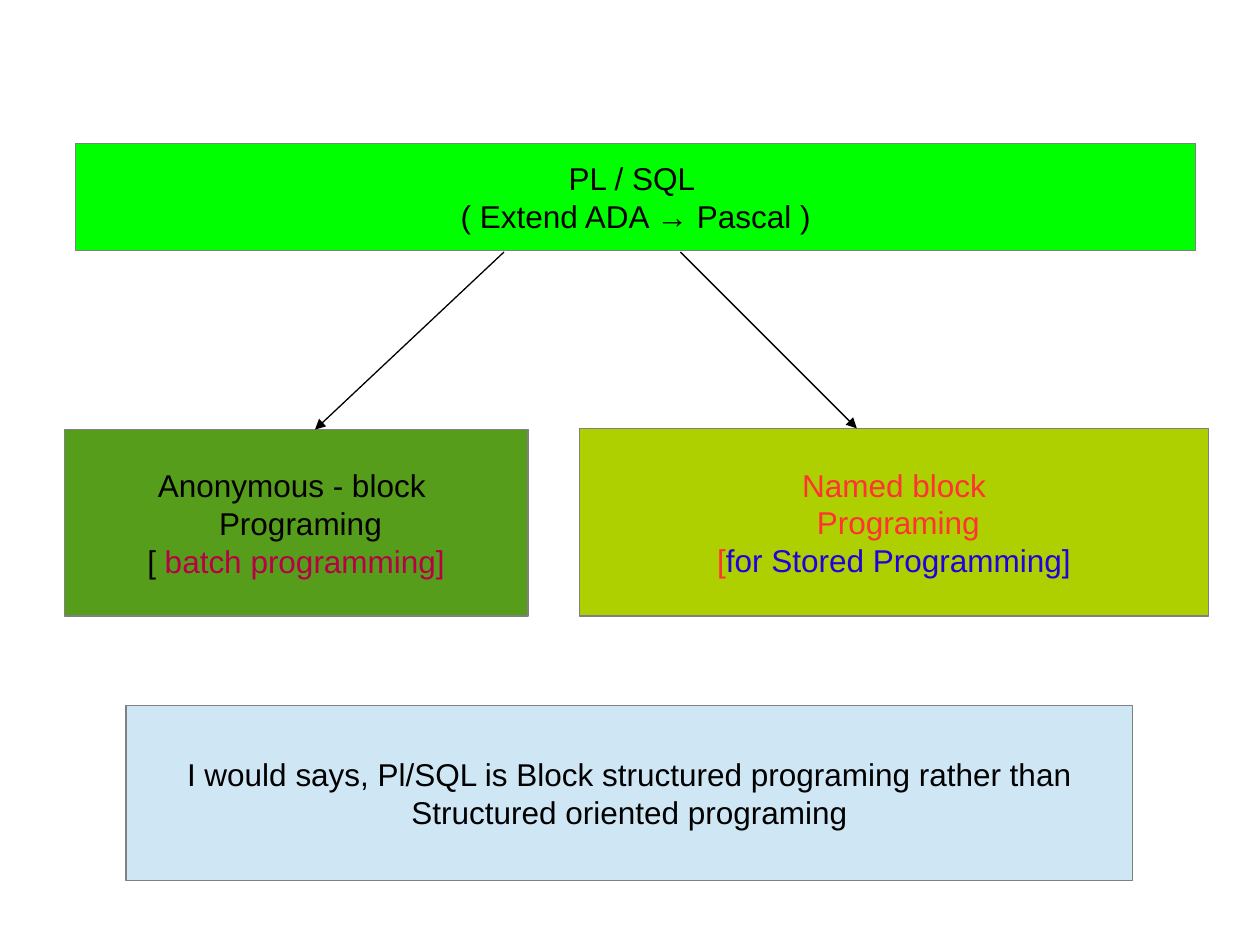
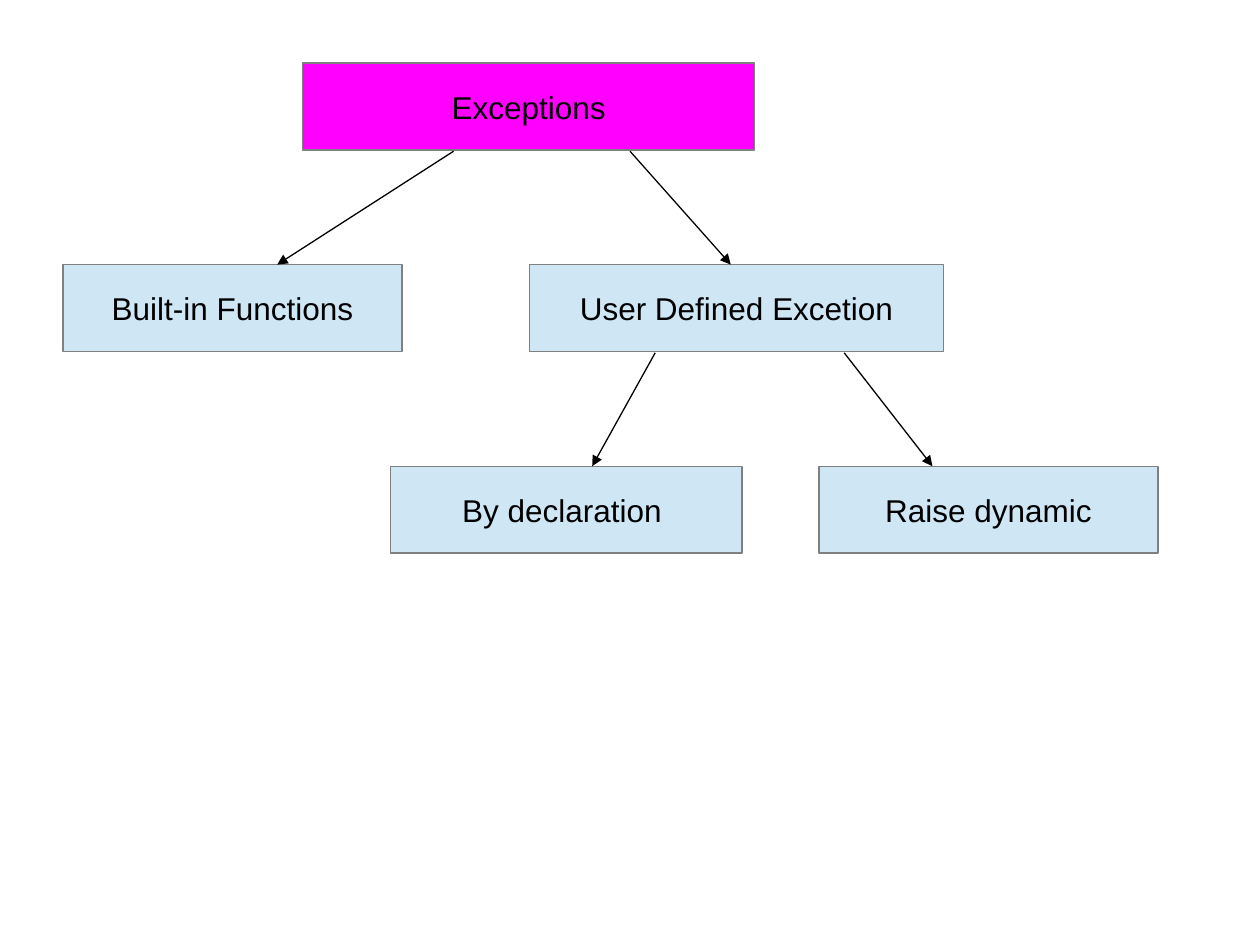
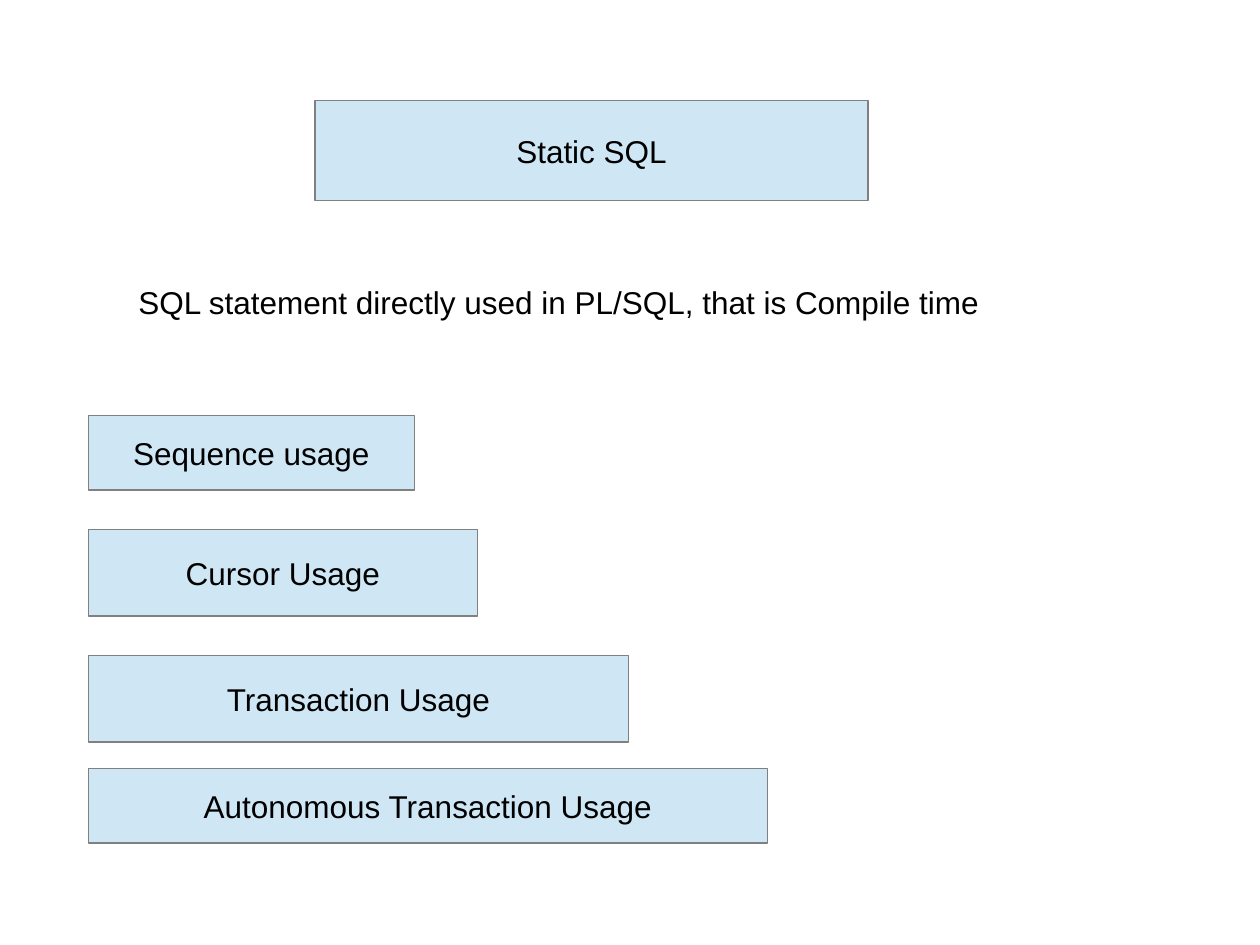
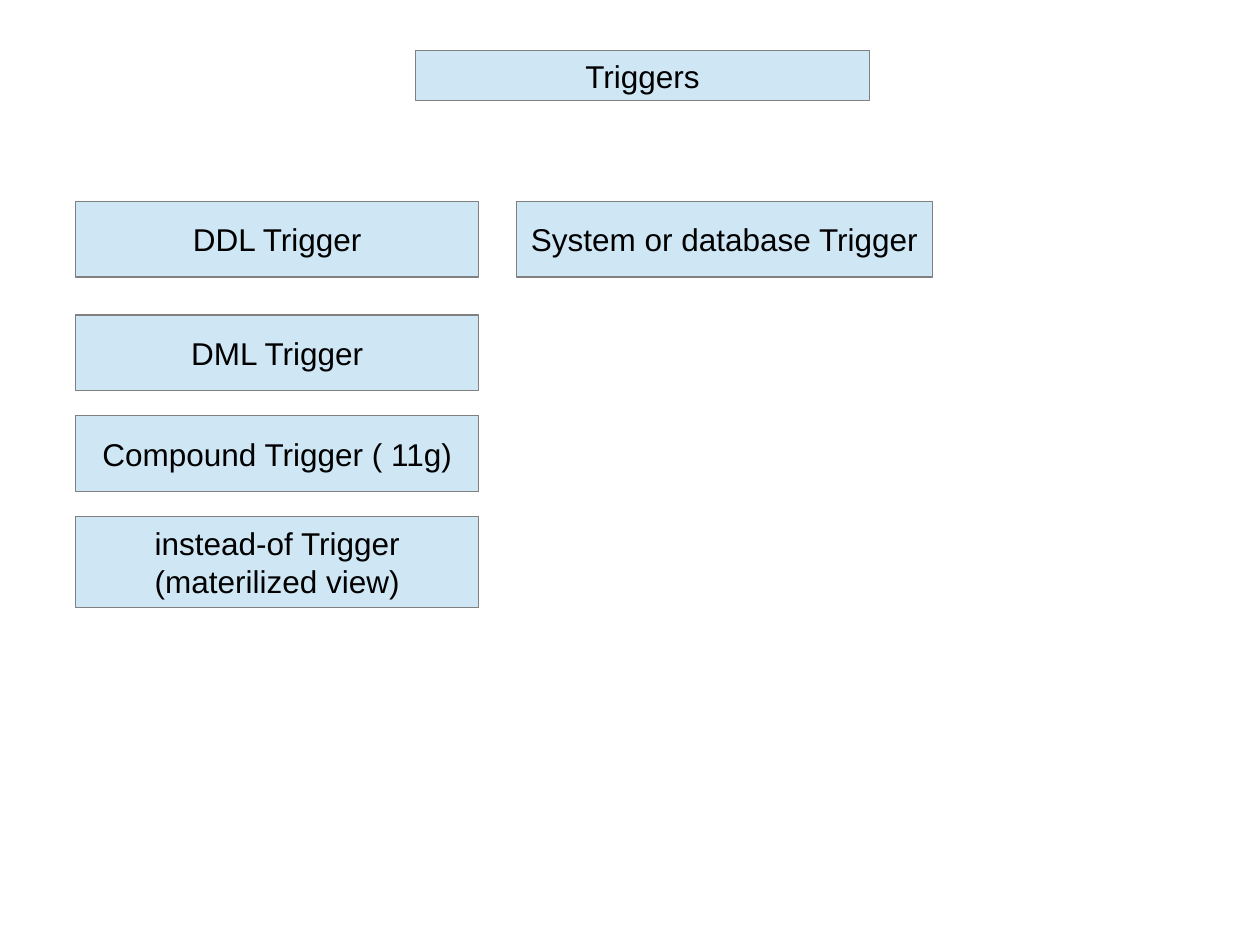
from lxml import etree
from pptx import Presentation
from pptx.dml.color import RGBColor
from pptx.enum.shapes import MSO_CONNECTOR, MSO_SHAPE
from pptx.enum.text import MSO_ANCHOR, PP_ALIGN
from pptx.oxml.ns import qn
from pptx.util import Pt

PX = 9144  # 100 px to the inch
FONT = "Arial"
COLORS = {
    "text": "000000",
    "outline": "808080",
    "pale_blue": "CFE7F5",
    "bright_green": "00FF00",
    "dark_green": "579D1C",
    "lime": "AECF00",
    "magenta": "FF00FF",
    "red": "FF3333",
    "blue": "2300DC",
    "crimson": "B80047",
}


def add_text(slide, text, left, top, width, height, fill="pale_blue", color="text"):
    """Add a centred box, or a plain text box when fill is None.

    A line of text is a string or a list of (words, colour) runs.
    """
    place = [length * PX for length in (left, top, width, height)]
    if fill:
        shape = slide.shapes.add_shape(MSO_SHAPE.RECTANGLE, *place)
        shape.shadow.inherit = False
        shape.fill.solid()
        shape.fill.fore_color.rgb = RGBColor.from_string(COLORS[fill])
        shape.line.color.rgb = RGBColor.from_string(COLORS["outline"])
        shape.line.width = Pt(0.75)
    else:
        shape = slide.shapes.add_textbox(*place)
    frame = shape.text_frame
    frame.word_wrap = False
    frame.vertical_anchor = MSO_ANCHOR.MIDDLE if fill else MSO_ANCHOR.TOP
    for index, line in enumerate([text] if isinstance(text, str) else text):
        paragraph = frame.add_paragraph() if index else frame.paragraphs[0]
        paragraph.alignment = PP_ALIGN.CENTER if fill else PP_ALIGN.LEFT
        for words, run_color in [(line, color)] if isinstance(line, str) else line:
            run = paragraph.add_run()
            run.text = words
            run.font.name = FONT
            run.font.size = Pt(18)
            run.font.color.rgb = RGBColor.from_string(COLORS[run_color])


def add_arrow(slide, *ends):
    arrow = slide.shapes.add_connector(MSO_CONNECTOR.STRAIGHT, *[end * PX for end in ends])
    arrow.line.color.rgb = RGBColor.from_string(COLORS["text"])
    arrow.line.width = Pt(0.75)
    etree.SubElement(arrow.line._get_or_add_ln(), qn("a:tailEnd"), type="triangle")
    etree.SubElement(arrow._element.spPr, qn("a:effectLst"))


presentation = Presentation()
presentation.slide_width = 1000 * PX
presentation.slide_height = 750 * PX
blank = presentation.slide_layouts[6]

# Block programming
slide = presentation.slides.add_slide(blank)
add_text(slide, ["PL / SQL ", "( Extend ADA → Pascal )"], 60, 114, 889, 85, fill="bright_green")
add_text(
    slide,
    ["Named block", " Programing", [("[", "red"), ("for Stored Programming]", "blue")]],
    460, 340, 499, 149, fill="lime", color="red",
)
add_text(
    slide,
    ["Anonymous - block ", " Programing", [("[", "text"), (" batch programming]", "crimson")]],
    51, 341, 368, 148, fill="dark_green",
)
add_arrow(slide, 400, 200, 250, 341)
add_arrow(slide, 540, 200, 680, 340)
add_text(
    slide,
    ["I would says, Pl/SQL is Block structured programing rather than",
     "Structured oriented programing"],
    100, 560, 799, 139,
)

# Exceptions
slide = presentation.slides.add_slide(blank)
for text, left, top, width, fill in [
    ("Exceptions", 240, 50, 359, "magenta"),
    ("Built-in Functions", 50, 210, 269, "pale_blue"),
    ("User Defined Excetion", 420, 210, 329, "pale_blue"),
    ("By declaration ", 310, 370, 279, "pale_blue"),
    ("Raise dynamic", 650, 370, 269, "pale_blue"),
]:
    add_text(slide, text, left, top, width, 69, fill=fill)
for start_x, end_x, start_y in [(360, 220, 120), (500, 580, 120), (520, 470, 280), (670, 740, 280)]:
    add_arrow(slide, start_x, start_y, end_x, start_y + 90)

# Static SQL
slide = presentation.slides.add_slide(blank)
add_text(slide, "Static SQL", 250, 80, 439, 79)
add_text(
    slide, "SQL statement directly used in PL/SQL, that is Compile time",
    100, 220, 700, 37, fill=None,
)
for text, top, width, height in [
    ("Sequence usage", 330, 259, 59),
    ("Cursor Usage", 420, 309, 69),
    ("Transaction Usage", 520, 429, 69),
    ("Autonomous Transaction Usage", 610, 539, 59),
]:
    add_text(slide, text, 70, top, width, height)

# Triggers
slide = presentation.slides.add_slide(blank)
add_text(slide, "Triggers", 330, 40, 360, 40)
for text, left, top, width, height in [
    ("DDL Trigger", 60, 160, 320, 60),
    ("System or database Trigger", 410, 160, 330, 60),
    ("DML Trigger", 60, 250, 320, 60),
    ("Compound Trigger ( 11g)", 60, 330, 320, 60),
    (["instead-of Trigger", "(materilized view)"], 60, 410, 320, 72),
]:
    add_text(slide, text, left, top, width, height)

presentation.save("out.pptx")
